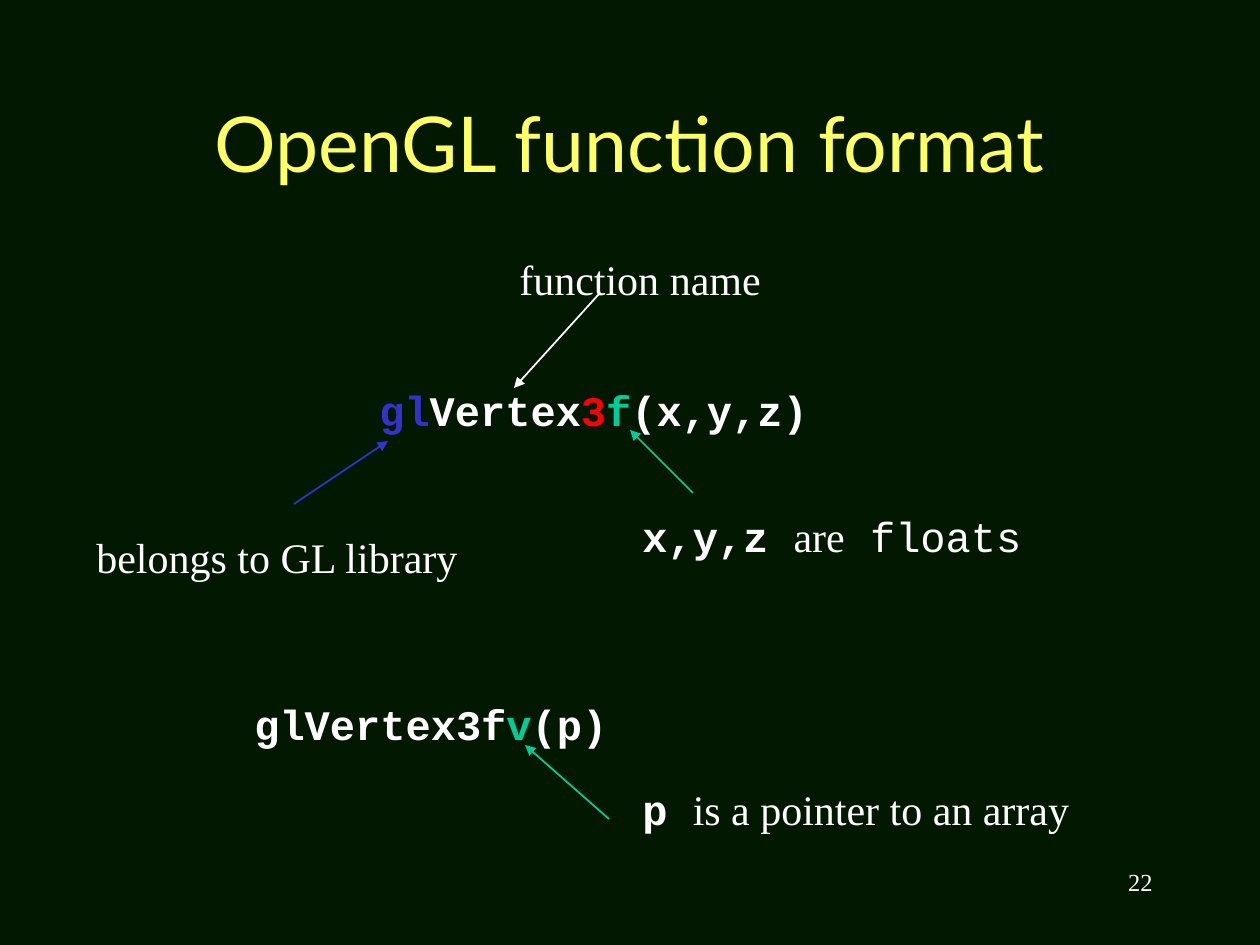
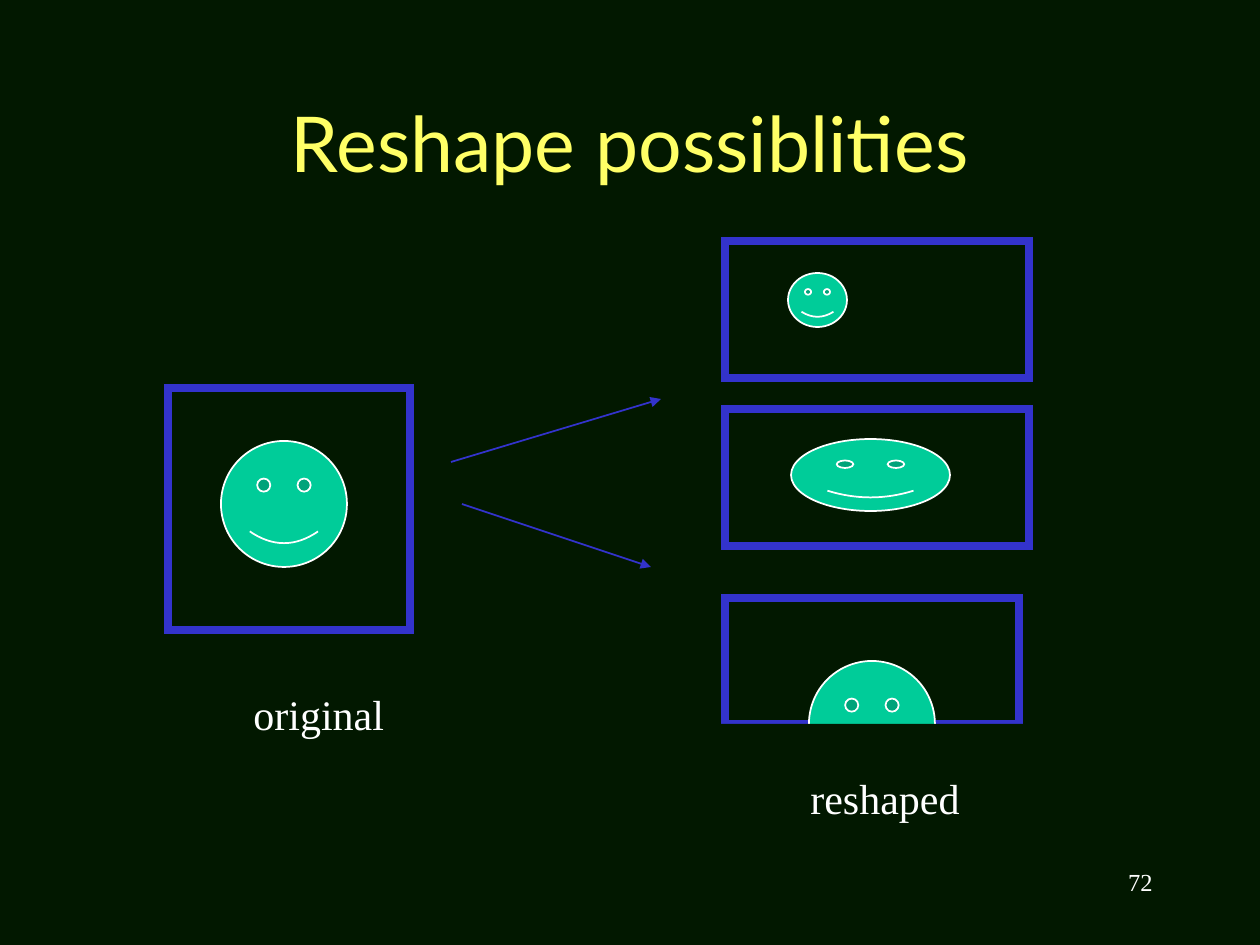
import dataclasses
import lxml.etree
import pptx
import pptx.util
import pptx.dml.color
import pptx.enum.shapes
import pptx.enum.text
import pptx.oxml.ns

SCALE = 914400 / 126
SHAPE = pptx.enum.shapes.MSO_SHAPE
ALIGN = pptx.enum.text.PP_ALIGN
FIT = pptx.enum.text.MSO_AUTO_SIZE


@dataclasses.dataclass(frozen=True)
class Theme:
    back: str = "021800"
    gold: str = "FFFF66"
    white: str = "FFFFFF"
    blue: str = "3333CC"
    green: str = "00CC99"
    red: str = "FF0000"
    head: str = "Lato"
    serif: str = "Times New Roman"
    mono: str = "Courier New"
    large: int = 44
    mid: int = 24
    small: int = 14
    thin: float = 1
    thick: float = 4.5


look = Theme()
rgb = pptx.dml.color.RGBColor.from_string


def px(*marks):
    return [pptx.util.Emu(round(mark * SCALE)) for mark in marks]


def write(para, text, size=look.mid, face=look.serif, tint=look.white, bold=False):
    run = para.add_run()
    run.text = text
    run.font.size = pptx.util.Pt(size)
    run.font.name = face
    run.font.bold = bold
    run.font.color.rgb = rgb(tint)


deck = pptx.Presentation()
deck.slide_width, deck.slide_height = px(1260, 945)
fill = deck.slide_master.background.fill
fill.solid()
fill.fore_color.rgb = rgb(look.back)

code = dict(face=look.mono, bold=True)
plain = dict(face=look.mono)
pages = [
    dict(
        title="OpenGL function format",
        number="22",
        labels=[
            ((367, 378, 456, 63), [
                ("gl", dict(code, tint=look.blue)),
                ("Vertex", code),
                ("3", dict(code, tint=look.red)),
                ("f", dict(code, tint=look.green)),
                ("(x,y,z)", code),
            ]),
            ((84, 525, 390, 63), [("belongs to GL library", {})]),
            ((507, 247, 270, 63), [("function name", {})]),
            ((630, 504, 406, 63), [("x,y,z ", code), ("are", {}), (" floats", plain)]),
            ((242, 692, 380, 63), [
                ("glVertex3f", code),
                ("v", dict(code, tint=look.green)),
                ("(p)", code),
            ]),
            ((630, 777, 454, 63), [("p ", code), ("is a pointer to an array", {})]),
        ],
        arrows=[
            ((294, 504, 388, 441), look.blue),
            ((599, 294, 514, 388), look.white),
            ((693, 493, 630, 430), look.green),
            ((609, 819, 525, 745), look.green),
        ],
        views=[],
        masks=[],
    ),
    dict(
        title="Reshape possiblities",
        number="72",
        labels=[
            ((241, 682, 159, 63), [("original", {})]),
            ((798, 766, 178, 63), [("reshaped", {})]),
        ],
        arrows=[
            ((451, 462, 661, 399), look.blue),
            ((462, 504, 651, 567), look.blue),
        ],
        views=[
            (True, (168, 388, 242, 242), (221, 441, 126, 126)),
            (True, (725, 409, 304, 137), (791, 439, 159, 72)),
            (False, (725, 598, 294, 126), (809, 661, 126, 126)),
            (False, (725, 241, 304, 137), (788, 273, 59, 54)),
        ],
        masks=[(672, 724, 420, 126)],
    ),
]

for page in pages:
    slide = deck.slides.add_slide(deck.slide_layouts[5])
    shapes = slide.shapes

    title = shapes.title
    title.left, title.top, title.width, title.height = px(94, 84, 1072, 116)
    frame = title.text_frame
    frame.auto_size = FIT.NONE
    frame.vertical_anchor = pptx.enum.text.MSO_ANCHOR.MIDDLE
    para = frame.paragraphs[0]
    para.alignment = ALIGN.CENTER
    write(para, page["title"], size=look.large, face=look.head, tint=look.gold)

    frame = shapes.add_textbox(*px(903, 861, 262, 63)).text_frame
    frame.word_wrap = True
    para = frame.paragraphs[0]
    para.alignment = ALIGN.RIGHT
    write(para, page["number"], size=look.small)

    parts = []
    for joined, border, face in page["views"]:
        home = shapes.add_group_shape().shapes if joined else shapes
        box = home.add_shape(SHAPE.RECTANGLE, *px(*border))
        smile = home.add_shape(SHAPE.SMILEY_FACE, *px(*face))
        smile.adjustments[0] = 0.093
        parts.append((box, look.back, look.blue, look.thick))
        parts.append((smile, look.green, look.white, look.thin))
    for area in page["masks"]:
        mask = shapes.add_shape(SHAPE.RECTANGLE, *px(*area))
        parts.append((mask, look.back, None, 0))
    for part, tint, edge, width in parts:
        part.shadow.inherit = False
        part.fill.solid()
        part.fill.fore_color.rgb = rgb(tint)
        if edge:
            part.line.color.rgb = rgb(edge)
            part.line.width = pptx.util.Pt(width)
            stroke = part.line._get_or_add_ln()
            lxml.etree.SubElement(stroke, pptx.oxml.ns.qn("a:miter"), lim="800000")
        else:
            part.line.fill.background()

    for ends, tint in page["arrows"]:
        arrow = shapes.add_connector(pptx.enum.shapes.MSO_CONNECTOR.STRAIGHT, *px(*ends))
        arrow.line.color.rgb = rgb(tint)
        arrow.line.width = pptx.util.Pt(look.thin)
        stroke = arrow.line._get_or_add_ln()
        lxml.etree.SubElement(stroke, pptx.oxml.ns.qn("a:tailEnd"), type="triangle")
        lxml.etree.SubElement(stroke.getparent(), pptx.oxml.ns.qn("a:effectLst"))

    for area, runs in page["labels"]:
        frame = shapes.add_textbox(*px(*area)).text_frame
        frame.word_wrap = False
        frame.auto_size = FIT.SHAPE_TO_FIT_TEXT
        for text, form in runs:
            write(frame.paragraphs[0], text, **form)

deck.save("out.pptx")
